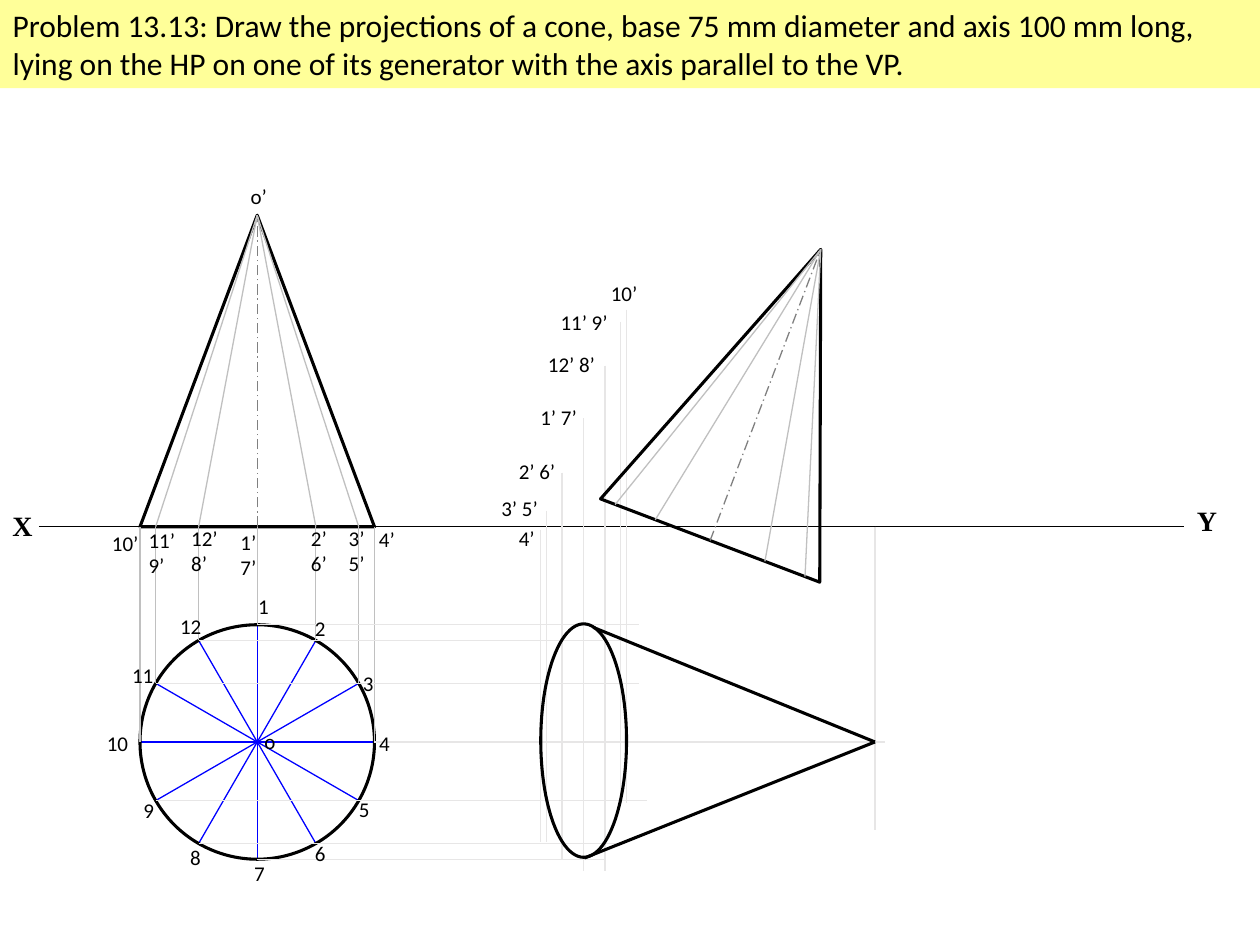
"""Build the slide showing the projections of a cone lying on one of its generators."""
import math

import lxml.etree
import pptx
import pptx.dml.color
import pptx.enum.dml
import pptx.enum.shapes
import pptx.enum.text
import pptx.oxml.ns
import pptx.util

Pt = pptx.util.Pt
SHAPE = pptx.enum.shapes.MSO_SHAPE
COLORS = {name: pptx.dml.color.RGBColor.from_string(value) for name, value in {
    "banner": "FFFF99", "ink": "000000", "division": "0000FF",
    "generator": "C0C0C0", "axis": "808080", "projector": "E7E6E6"}.items()}

deck = pptx.Presentation()
deck.slide_width, deck.slide_height = Pt(720), Pt(540)
slide = deck.slides.add_slide(deck.slide_layouts[5])


def draw_line(x1, y1, x2, y2, color, width=0.75):
    line = slide.shapes.add_connector(
        pptx.enum.shapes.MSO_CONNECTOR.STRAIGHT, Pt(x1), Pt(y1), Pt(x2), Pt(y2))
    line.line.color.rgb = COLORS[color]
    line.line.width = Pt(width)
    if color == "axis":
        line.line.dash_style = pptx.enum.dml.MSO_LINE.LONG_DASH_DOT
    lxml.etree.SubElement(line._element.spPr, pptx.oxml.ns.qn("a:effectLst"))


def draw_outline(kind, center_x, center_y, width, height, color="ink", weight=1.75, turn=0):
    outline = slide.shapes.add_shape(
        kind, Pt(center_x - width / 2), Pt(center_y - height / 2), Pt(width), Pt(height))
    outline.rotation = turn
    outline.shadow.inherit = False
    outline.fill.background()
    outline.line.color.rgb = COLORS[color]
    outline.line.width = Pt(weight)


problem = slide.shapes.title
problem.left, problem.top, problem.width, problem.height = Pt(0), Pt(0), Pt(720), Pt(50.4)
problem.fill.solid()
problem.fill.fore_color.rgb = COLORS["banner"]
problem.text_frame.auto_size = pptx.enum.text.MSO_AUTO_SIZE.NONE
problem.text_frame.vertical_anchor = pptx.enum.text.MSO_ANCHOR.TOP
statement = problem.text_frame.paragraphs[0]
statement.alignment = pptx.enum.text.PP_ALIGN.LEFT
wording = statement.add_run()
wording.text = ("Problem 13.13: Draw the projections of a cone, base 75 mm diameter and axis "
                "100 mm long, lying on the HP on one of its generator with the axis parallel "
                "to the VP.")
wording.font.name, wording.font.size = "Calibri", Pt(18)
wording.font.color.rgb = COLORS["ink"]

ground, center_x, center_y, radius, height = 301, 147, 424, 67, 178
apex_y = ground - height
sines = [math.sin(math.radians(30 * step)) for step in range(-3, 4)]
cosines = [math.cos(math.radians(30 * step)) for step in range(-3, 4)]

draw_line(22.3, ground, 676.8, ground, "ink")
for turn in (0, 30, 60):
    draw_outline(SHAPE.FLOWCHART_OR, center_x, center_y, 2 * radius, 2 * radius,
                 "division", 0.75, turn)
draw_outline(SHAPE.OVAL, center_x, center_y, 2 * radius, 2 * radius)
draw_outline(SHAPE.ISOSCELES_TRIANGLE, center_x, ground - height / 2, 2 * radius, height)

for sine, cosine in zip(sines, cosines):
    foot_x = center_x + radius * sine
    draw_line(foot_x, center_y - radius * cosine, foot_x, ground, "generator")
generator_colors = ["generator", "generator", "axis", "generator", "generator"]
for sine, color in zip(sines[1:-1], generator_colors):
    draw_line(center_x + radius * sine, ground, center_x, apex_y, color)

ellipse_x, ellipse_radius, tip_x = 333.5, 24.5, 500
projector_ends = [(303, 481), (292, 481), (270, 491), (239, 498), (209, 498),
                  (184, 459), (177, 459)]
for sine, (top, bottom) in zip(sines, projector_ends):
    x = ellipse_x + ellipse_radius * sine
    draw_line(x, top, x, bottom, "projector")
draw_line(tip_x, ground, tip_x, 474.5, "projector")
for step, right in enumerate([365, 358, 365, 505.5, 370, 355, 345.6]):
    angle = math.radians(30 * step)
    side = 1 if step == 3 else -1
    y = center_y - radius * math.cos(angle)
    draw_line(center_x + side * radius * math.sin(angle), y, right, y, "projector")

draw_outline(SHAPE.OVAL, ellipse_x, 423.2, 2 * ellipse_radius, 133.4)
draw_line(339, 358.5, tip_x, center_y, "ink", 1.75)
draw_line(334, 490.3, tip_x, center_y, "ink", 1.75)

tilt, tilted_apex_x, tilted_apex_y = 20.8, 469, 142.5
tilt_sine, tilt_cosine = math.sin(math.radians(tilt)), math.cos(math.radians(tilt))
base_x = tilted_apex_x - height * tilt_sine
base_y = tilted_apex_y + height * tilt_cosine
draw_outline(SHAPE.ISOSCELES_TRIANGLE, (tilted_apex_x + base_x) / 2,
             (tilted_apex_y + base_y) / 2, 2 * radius, height, turn=tilt)
for sine, color in zip(sines[1:-1], generator_colors):
    draw_line(base_x + radius * sine * tilt_cosine, base_y + radius * sine * tilt_sine,
              tilted_apex_x, tilted_apex_y, color)

ground_labels = [("X", 0, 287.3, 38.2), ("Y", 676.8, 284.4, 38.2)]
point_labels = [
    ("1", 140.4, 335.5, 23), ("2", 172.8, 348.5, 23), ("3", 200.2, 379.4, 23),
    ("4", 209.5, 414, 23), ("5", 198, 451.4, 23), ("6", 172.8, 476.6, 23),
    ("7", 138.2, 488.2, 23), ("8", 101.5, 478.8, 23), ("9", 74.9, 452.2, 23),
    ("10", 54, 414, 28), ("11", 68.4, 375.1, 28), ("12", 95.8, 347, 28),
    ("1’7’", 130.3, 298.8, 25.2), ("2’6’", 170.6, 296.6, 25.2),
    ("3’5’", 192.2, 296.6, 25.2), ("12’8’", 102.2, 296.6, 33.1),
    ("11’9’", 77.8, 298.1, 33.1), ("10’", 56.9, 299.5, 33.1), ("4’", 209.5, 297.4, 28),
    ("o", 144, 412.6, 29.5), ("o’", 136.1, 101.5, 29.5),
    ("1’ 7’", 301.7, 227.5, 37.4), ("2’ 6’", 289.4, 258.5, 41),
    ("3’ 5’", 279.4, 279.4, 37.4), ("12’ 8’", 306, 197.3, 49.7),
    ("11’ 9’", 313.2, 173.5, 44.6), ("10’", 342, 157, 33.1), ("4’", 289.4, 296.6, 28)]
label_styles = [(ground_labels, "Times New Roman", 16, True),
                (point_labels, "Calibri", 12, False)]
for labels, font_name, size, bold in label_styles:
    for text, left, top, width in labels:
        stacked = text.count("’") == 2 and " " not in text
        label_height = 36 if stacked else size + 10
        label = slide.shapes.add_textbox(Pt(left), Pt(top), Pt(width), Pt(label_height))
        label.text_frame.word_wrap = True
        mark = label.text_frame.paragraphs[0].add_run()
        mark.text = text
        mark.font.name, mark.font.size, mark.font.bold = font_name, Pt(size), bold
        mark.font.color.rgb = COLORS["ink"]

deck.save("out.pptx")
